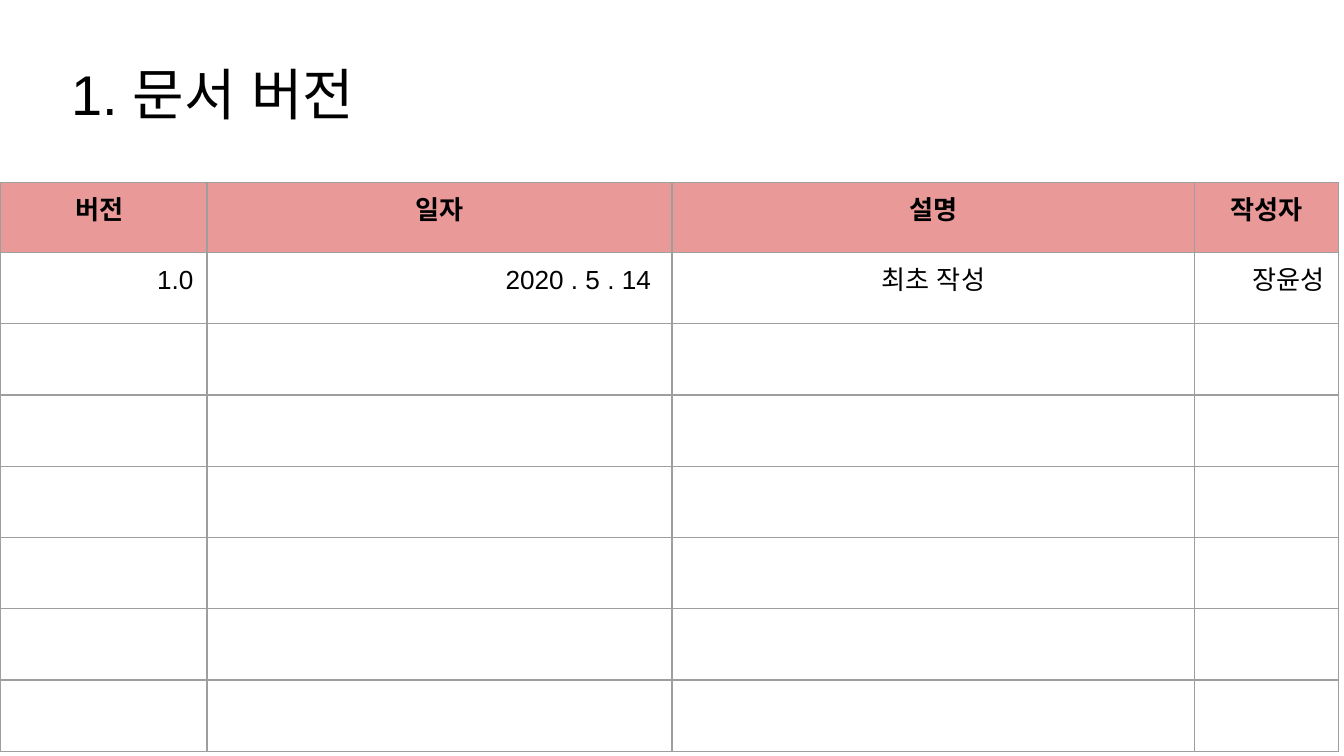
from lxml.etree import SubElement
from pptx import Presentation
from pptx.dml.color import RGBColor
from pptx.enum.text import PP_ALIGN as Align
from pptx.oxml.ns import qn
from pptx.util import Inches, Pt

BLACK = RGBColor(0x00, 0x00, 0x00)
PINK = RGBColor(0xEA, 0x99, 0x99)
GRAY = RGBColor(0x9E, 0x9E, 0x9E)

SLIDE_WIDTH = Inches(10)
SLIDE_HEIGHT = SLIDE_WIDTH * 9 // 16
COLUMNS = [1.54, 3.46, 3.89, 1.07]
ROWS = [0.52] + [0.53] * 7
TABLE_TOP = 1.36
INSETS = {f"margin_{side}": Inches(0.1) for side in ("left", "top", "right", "bottom")}
TITLE_FONT = {"name": "Arial", "size": Pt(30), "bold": False}
HEADER_FONT = {"name": "Arial", "size": Pt(14), "bold": True}
ENTRY_FONT = {**HEADER_FONT, "bold": False}
HEADERS = ["버전 ", "일자", "설명", "작성자"]
ENTRY = ["1.0", "2020 . 5 . 14 ", "최초 작성", "장윤성"]
ENTRY_ALIGN = [Align.RIGHT, Align.RIGHT, Align.CENTER, Align.RIGHT]


def apply(target, values):
    for key, value in values.items():
        setattr(target, key, value)


def write(paragraph, text, font, alignment):
    paragraph.alignment = alignment
    run = paragraph.add_run()
    run.text = text
    apply(run.font, font)
    run.font.color.rgb = BLACK
    for script in ("a:ea", "a:cs"):
        SubElement(run._r.get_or_add_rPr(), qn(script), typeface=font["name"])


deck = Presentation()
apply(deck, {"slide_width": SLIDE_WIDTH, "slide_height": SLIDE_HEIGHT})
slide = deck.slides.add_slide(deck.slide_layouts[6])

versions = slide.shapes.add_table(
    len(ROWS), len(COLUMNS), 0, Inches(TABLE_TOP), Inches(sum(COLUMNS)), Inches(sum(ROWS))
).table
apply(versions, {"first_row": False, "horz_banding": False})
for column, width in zip(versions.columns, COLUMNS):
    column.width = Inches(width)
for row, height in zip(versions.rows, ROWS):
    row.height = Inches(height)

for cell in versions.iter_cells():
    apply(cell, INSETS)
    properties = cell._tc.get_or_add_tcPr()
    for edge in ("a:lnL", "a:lnR", "a:lnT", "a:lnB"):
        border = SubElement(properties, qn(edge), w=str(Pt(0.75)))
        SubElement(SubElement(border, qn("a:solidFill")), qn("a:srgbClr"), val=str(GRAY))
    cell.fill.background()

for index, (header, entry, alignment) in enumerate(zip(HEADERS, ENTRY, ENTRY_ALIGN)):
    header_cell = versions.cell(0, index)
    header_cell.fill.solid()
    header_cell.fill.fore_color.rgb = PINK
    write(header_cell.text_frame.paragraphs[0], header, HEADER_FONT, Align.CENTER)
    write(versions.cell(1, index).text_frame.paragraphs[0], entry, ENTRY_FONT, alignment)

title = slide.shapes.add_textbox(Inches(0.39), Inches(0.34), Inches(3.41), Inches(0.7)).text_frame
apply(title, {**INSETS, "word_wrap": True})
heading = title.paragraphs[0]
write(heading, "문서 버전", TITLE_FONT, Align.LEFT)
numbering = heading._p.get_or_add_pPr()
for key, value in {"marL": Inches(0.5), "indent": Inches(-0.46)}.items():
    numbering.set(key, str(value))
SubElement(SubElement(numbering, qn("a:buClr")), qn("a:srgbClr"), val=str(BLACK))
SubElement(numbering, qn("a:buFont"), typeface="Arial")
SubElement(numbering, qn("a:buAutoNum"), type="arabicPeriod")

deck.save("out.pptx")
